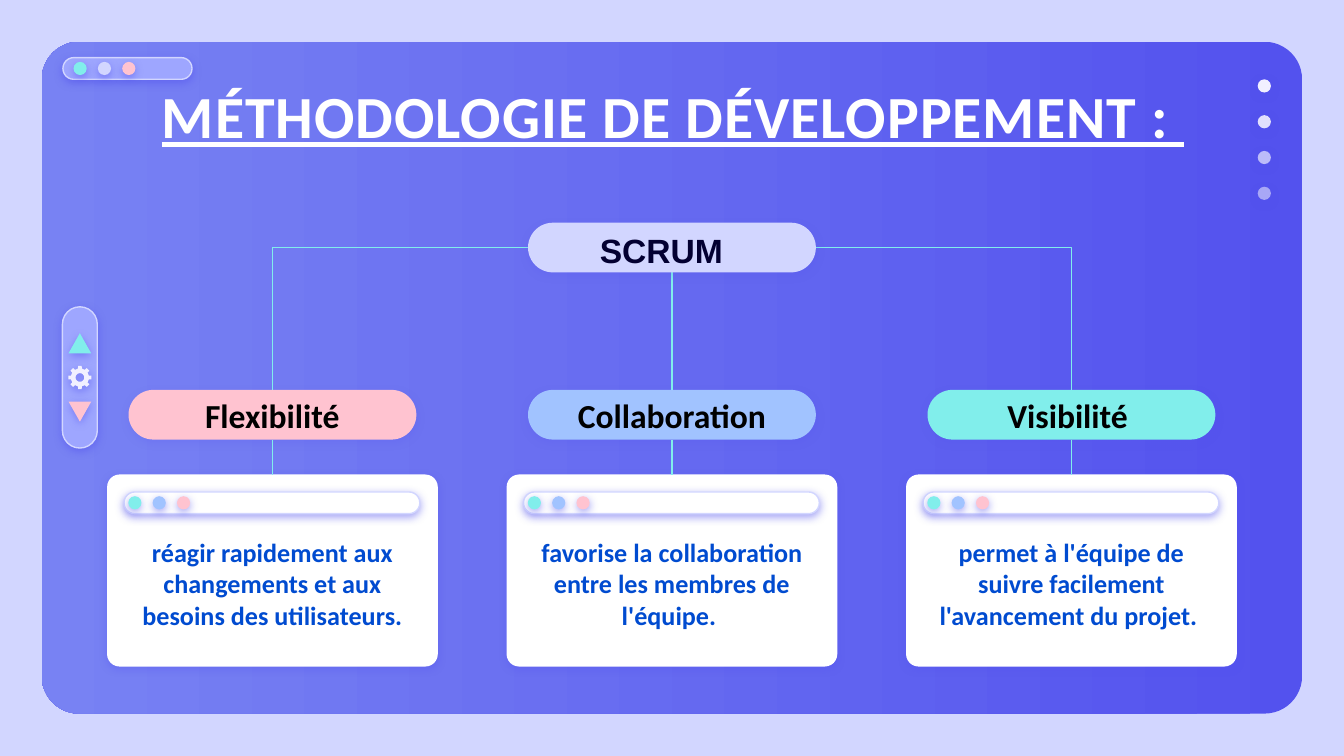
from collections import namedtuple
from math import cos, pi, sin

from lxml.etree import SubElement
from pptx import Presentation
from pptx.dml.color import RGBColor
from pptx.enum.shapes import MSO_CONNECTOR as Link, MSO_SHAPE as Preset
from pptx.enum.text import MSO_ANCHOR as Anchor, MSO_AUTO_SIZE as AutoSize, PP_ALIGN as Align
from pptx.oxml.ns import qn
from pptx.util import Cm, Pt

Box = namedtuple("Box", "left top width height")

COLORS = {
    "lavender": "D2D6FF", "indigo": "5352EE", "violet": "7882F3", "periwinkle": "9EA6FF",
    "mint": "81EEEB", "sky": "A1C3FF", "pink": "FFC3D0", "mist": "F1F0FF",
    "white": "FFFFFF", "black": "000000", "navy": "030032", "blue": "004BD0",
}
DOT = 0.25
CARD_WIDTH, CARD_PITCH = 6.25, 7.55
PILL_WIDTH, PILL_HEIGHT = 5.44, 0.94
CENTER = 12.7
SCRUM_TOP, LABEL_TOP, CARD_TOP = 4.21, 7.37, 8.97
BENEFITS = [
    ("Flexibilité", "pink",
     "réagir rapidement aux changements et aux besoins des utilisateurs."),
    ("Collaboration", "sky",
     "favorise la collaboration entre les membres de l'équipe. "),
    ("Visibilité ", "mint",
     "permet à l'équipe de suivre facilement l'avancement du projet. "),
]


def rgb(name):
    """Return the palette colour with this name."""
    return RGBColor.from_string(COLORS[name])


def lengths(box):
    """Convert a box in centimetres to slide lengths."""
    return [Cm(value) for value in box]


def style(shape, color, glow=50, edge=None, opacity=100):
    """Give a shape its fill, outline and soft indigo shadow."""
    shape.fill.solid()
    shape.fill.fore_color.rgb = rgb(color)
    if opacity < 100:
        solid = shape._element.spPr.find(qn("a:solidFill"))
        SubElement(solid[0], qn("a:alpha"), val=str(opacity * 1000))
    if edge:
        shape.line.color.rgb = rgb(edge)
        shape.line.width = Pt(0.75)
    else:
        shape.line.fill.background()
    shape.shadow.inherit = False
    effects = shape._element.spPr.find(qn("a:effectLst"))
    shadow = SubElement(effects, qn("a:outerShdw"), blurRad=str(Pt(4.5)), dist=str(Pt(1.5)),
                        dir="5400000", algn="t", rotWithShape="0")
    tint = SubElement(shadow, qn("a:srgbClr"), val=COLORS["indigo"])
    SubElement(tint, qn("a:alpha"), val=str(glow * 1000))


def add_preset(shapes, preset, box, color, corner=None, **look):
    """Add a styled preset shape."""
    shape = shapes.add_shape(preset, *lengths(box))
    if corner is not None:
        shape.adjustments[0] = corner
    style(shape, color, **look)
    return shape


def write(frame, words, size, color, font="Calibri", inset=0.25, anchor=Anchor.MIDDLE):
    """Fill a text frame with one bold centred run."""
    frame.word_wrap = True
    frame.auto_size = AutoSize.NONE
    frame.vertical_anchor = anchor
    frame.margin_left = frame.margin_right = Cm(0.25)
    frame.margin_top = frame.margin_bottom = Cm(inset)
    paragraph = frame.paragraphs[0]
    paragraph.alignment = Align.CENTER
    run = paragraph.add_run()
    run.text = words
    run.font.name, run.font.size, run.font.bold = font, Pt(size), True
    run.font.color.rgb = rgb(color)
    return run


def add_words(slide, box, *args, **options):
    """Add a text box holding one run."""
    write(slide.shapes.add_textbox(*lengths(box)).text_frame, *args, **options)


def add_link(slide, kind, start, end):
    """Draw a thin mint connector between two points."""
    link = slide.shapes.add_connector(kind, *lengths(start + end))
    link.line.color.rgb = rgb("mint")
    link.line.width = Pt(0.75)
    properties = link._element.spPr
    SubElement(properties, qn("a:effectLst"))
    if kind == Link.ELBOW:
        properties.find(qn("a:prstGeom")).set("prst", "bentConnector2")


def panel(slide, box):
    """Draw the rounded gradient panel."""
    backdrop = slide.shapes.add_shape(Preset.ROUNDED_RECTANGLE, *lengths(box))
    backdrop.adjustments[0] = 0.056
    backdrop.shadow.inherit = False
    backdrop.line.fill.background()
    backdrop.fill.gradient()
    backdrop.fill.gradient_angle = 180
    for stop, position, color in zip(backdrop.fill.gradient_stops, (0, 1), ("indigo", "violet")):
        stop.position = position
        stop.color.rgb = rgb(color)


def window_bar(slide, box, color, dots, indent):
    """Draw a window bar with three coloured dots."""
    bar = slide.shapes.add_group_shape().shapes
    add_preset(bar, Preset.ROUNDED_RECTANGLE, box, color, 0.5, edge="lavender")
    top = box.top + (box.height - DOT) / 2
    for index, dot in enumerate(dots):
        left = box.left + indent + index * 0.46
        add_preset(bar, Preset.OVAL, Box(left, top, DOT, DOT), dot)


def fading_dots(slide, box):
    """Stack dots that fade from top to bottom."""
    column = slide.shapes.add_group_shape().shapes
    pitch = (box.height - box.width) / 3
    for index, opacity in enumerate((100, 90, 67, 54)):
        spot = Box(box.left, box.top + index * pitch, box.width, box.width)
        add_preset(column, Preset.OVAL, spot, "mist", opacity=opacity)


def gear(slide, center_x, center_y, radius):
    """Draw an eight-toothed gear with a round hole."""
    def ring(radii, angles):
        return [(Cm(center_x + r * cos(a)), Cm(center_y + r * sin(a)))
                for r, a in zip(radii, angles)]

    step = pi / 4
    teeth = ring([radius * r for r in (0.78, 1, 1, 0.78)] * 8,
                 [(tooth + part) * step for tooth in range(8) for part in (-0.28, -0.2, 0.2, 0.28)])
    hole = ring([radius * 0.37] * 24, [-index * pi / 12 for index in range(24)])
    outline = slide.shapes.build_freeform(*teeth[0])
    outline.add_line_segments(teeth[1:])
    outline.move_to(*hole[0])
    outline.add_line_segments(hole[1:])
    style(outline.convert_to_shape(), "mist", glow=52)


def side_control(slide, box):
    """Draw the upright control with two arrows and a gear."""
    add_preset(slide.shapes, Preset.ROUNDED_RECTANGLE, box, "periwinkle", 0.5, edge="lavender")
    left = box.left + (box.width - 0.43) / 2
    for offset, color, turn in ((0.5, "mint", 0), (1.79, "pink", 180)):
        arrow = add_preset(slide.shapes, Preset.ISOSCELES_TRIANGLE,
                           Box(left, box.top + offset, 0.43, 0.38), color)
        arrow.rotation = turn
    gear(slide, box.left + box.width / 2, box.top + box.height / 2, 0.22)


def heading(slide, box):
    """Place the underlined title."""
    title = slide.shapes.title
    title.left, title.top, title.width, title.height = lengths(box)
    run = write(title.text_frame, "MÉTHODOLOGIE DE DÉVELOPPEMENT\u00a0: ", 32, "white",
                anchor=Anchor.TOP)
    run.font.underline = True
    run.font._element.set("spc", "50")


def pill(slide, box, color):
    """Draw a pill for a label."""
    add_preset(slide.shapes, Preset.ROUNDED_RECTANGLE, box, color, 0.5, glow=18)


def root(slide, box):
    """Draw the top pill of the tree."""
    pill(slide, box, "lavender")
    add_words(slide, Box(box.left + 0.64, box.top, 3.76, 1.63), "SCRUM", 18, "navy",
              font="Arial", inset=0.13, anchor=Anchor.TOP)


def benefit(slide, box, label, color, detail):
    """Draw a label pill joined to its card."""
    middle = box.left + box.width / 2
    tag = Box(middle - PILL_WIDTH / 2, box.top, PILL_WIDTH, PILL_HEIGHT)
    card = Box(box.left, CARD_TOP, box.width, box.top + box.height - CARD_TOP)
    add_preset(slide.shapes, Preset.ROUNDED_RECTANGLE, card, "white", 0.065, glow=34)
    window_bar(slide, Box(card.left + 0.32, card.top + 0.33, 5.59, 0.41), "white",
               ("mint", "sky", "pink"), 0.08)
    add_words(slide, Box(card.left + 0.18, card.top + 0.94, 5.89, 2.24), detail, 14, "blue")
    pill(slide, tag, color)
    add_words(slide, Box(tag.left + 0.46, tag.top + 0.2, 4.52, 0.54), label, 18, "black")
    add_link(slide, Link.STRAIGHT, (middle, tag.top + tag.height), (middle, card.top))


def tree(slide, box):
    """Lay out the root, its branches and the three benefits."""
    trunk = Box(CENTER - PILL_WIDTH / 2, box.top, PILL_WIDTH, PILL_HEIGHT)
    bottom = box.top + box.height
    for index, words in enumerate(BENEFITS):
        left = box.left + index * CARD_PITCH
        benefit(slide, Box(left, LABEL_TOP, CARD_WIDTH, bottom - LABEL_TOP), *words)
    waist = trunk.top + trunk.height / 2
    for edge, side in ((trunk.left, -1), (trunk.left + trunk.width, 1)):
        add_link(slide, Link.ELBOW, (edge, waist), (CENTER + side * CARD_PITCH, LABEL_TOP))
    add_link(slide, Link.STRAIGHT, (CENTER, trunk.top + trunk.height), (CENTER, LABEL_TOP))
    root(slide, trunk)


def main():
    """Build and save the slide."""
    deck = Presentation()
    deck.slide_width, deck.slide_height = Cm(25.4), Cm(14.29)
    slide = deck.slides.add_slide(deck.slide_layouts[5])
    slide.background.fill.solid()
    slide.background.fill.fore_color.rgb = rgb("lavender")
    panel(slide, Box(0.79, 0.79, 23.82, 12.7))
    window_bar(slide, Box(1.19, 1.09, 2.44, 0.41), "periwinkle", ("mint", "lavender", "pink"), 0.2)
    fading_dots(slide, Box(23.77, 1.5, DOT, 2.28))
    slide.shapes._spTree.append(slide.shapes.title._element)
    heading(slide, Box(2.01, 1.24, 21.41, 1.6))
    tree(slide, Box(CENTER - CARD_PITCH - CARD_WIDTH / 2, SCRUM_TOP, 21.35, 8.39))
    side_control(slide, Box(1.18, 5.8, 0.66, 2.67))
    deck.save("out.pptx")


if __name__ == "__main__":
    main()
